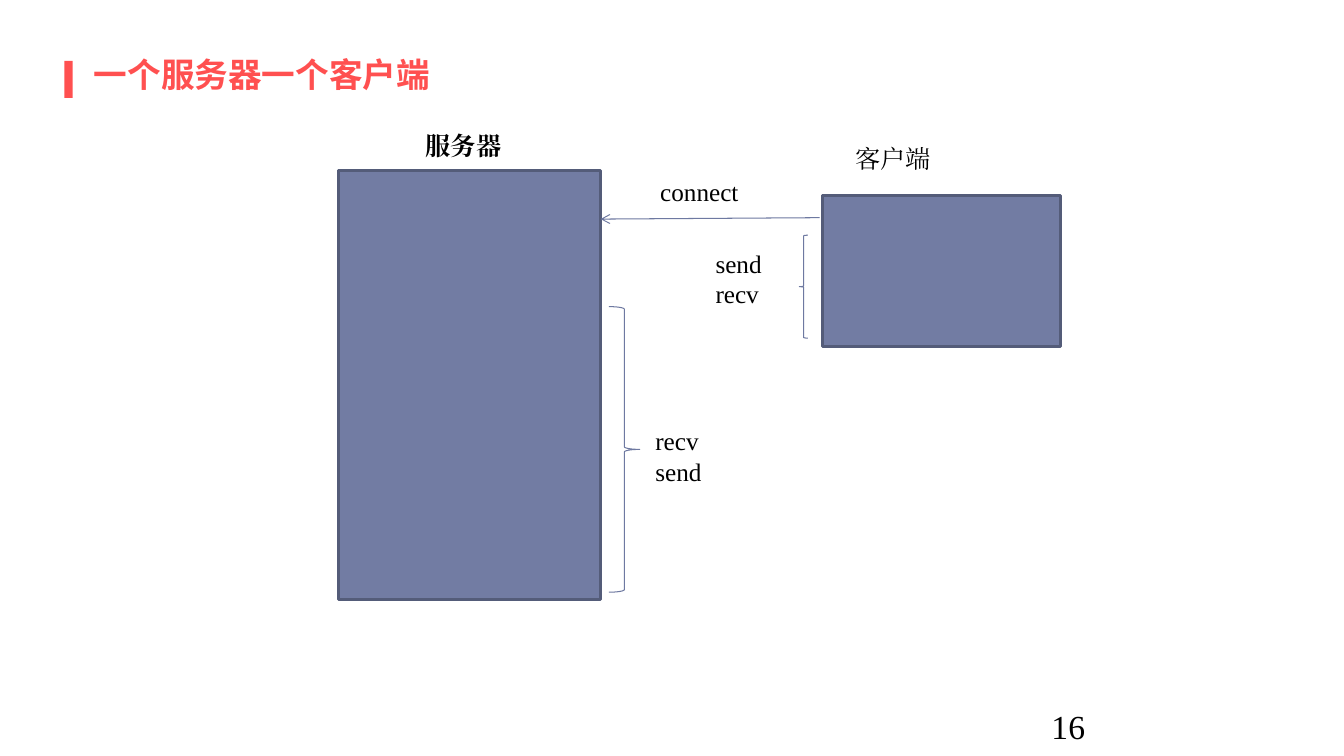
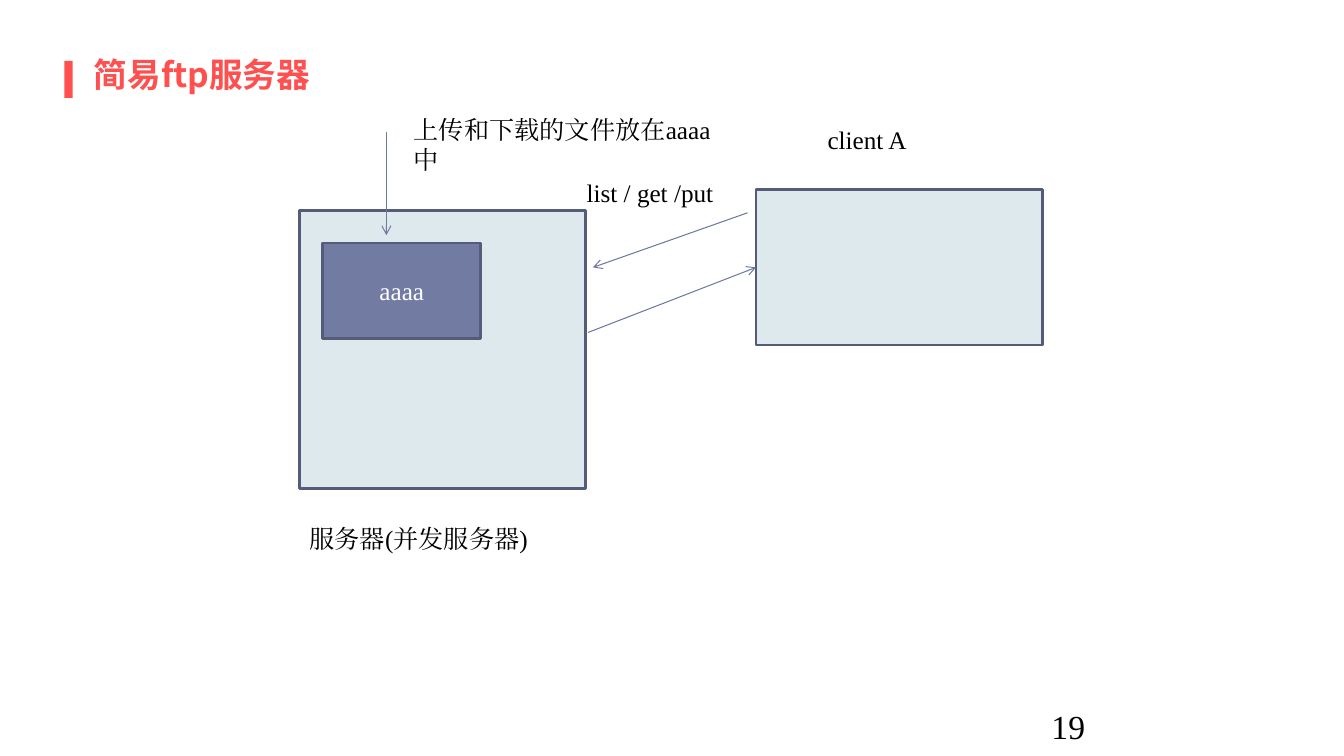
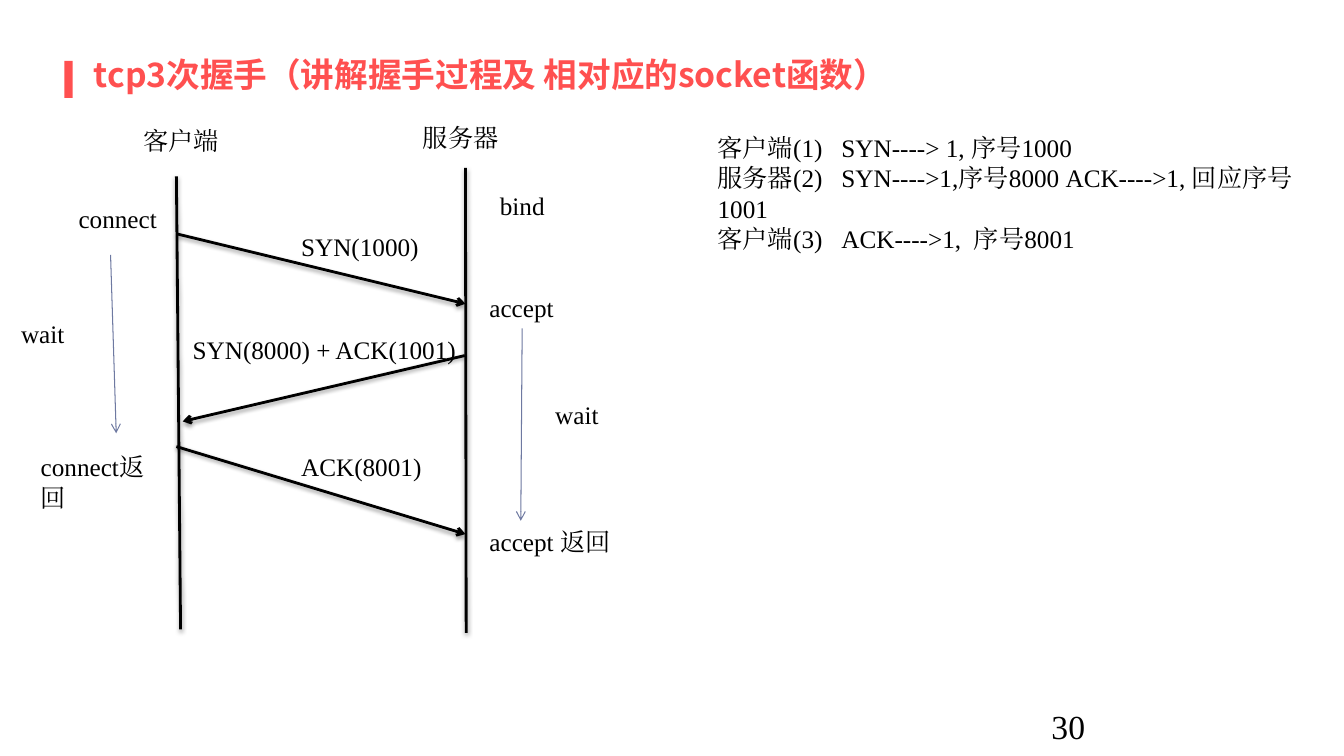
from lxml import etree
from pptx import Presentation
from pptx.dml.color import RGBColor
from pptx.enum import shapes, text as txt
from pptx.oxml import ns
from pptx.util import Pt

RED = RGBColor(0xFF, 0x50, 0x50)
BLACK = RGBColor(0, 0, 0)
WHITE = RGBColor(0xFF, 0xFF, 0xFF)
SLATE = RGBColor(0x72, 0x7C, 0xA3)
PALE = RGBColor(0xDD, 0xE9, 0xEC)
EDGE = RGBColor(0x54, 0x5C, 0x79)
THIN = RGBColor(0x6E, 0x79, 0xA1)
SANS = "Noto Sans CJK SC"
SERIF = "Times New Roman"
TOP, MIDDLE = txt.MSO_ANCHOR.TOP, txt.MSO_ANCHOR.MIDDLE
LEFT, CENTER = txt.PP_ALIGN.LEFT, txt.PP_ALIGN.CENTER
RECT = shapes.MSO_SHAPE.RECTANGLE


def put(s, text, x, y, w, h=29, *, size=18, color=BLACK, bold=False, font=SERIF,
        anchor=TOP, align=LEFT, fill=None):
    """Add a text box, or an outlined rectangle if a fill is given."""
    frame = Pt(x), Pt(y), Pt(w), Pt(h)
    if fill is None:
        sp = s.shapes.add_textbox(*frame)
    else:
        sp = s.shapes.add_shape(RECT, *frame)
        sp.shadow.inherit = False
        sp.fill.solid()
        sp.fill.fore_color.rgb = fill
        sp.line.color.rgb = EDGE
        sp.line.width = Pt(2)
    tf = sp.text_frame
    tf.word_wrap = True
    tf.vertical_anchor = anchor
    for i, words in enumerate(text.split("\n") if text else []):
        p = tf.add_paragraph() if i else tf.paragraphs[0]
        p.alignment = align
        r = p.add_run()
        r.text = words
        r.font.name, r.font.size, r.font.bold = font, Pt(size), bold
        r.font.color.rgb = color
        ea = etree.SubElement(r.font._element, ns.qn("a:ea"))
        ea.set("typeface", font)
    return sp


def line(s, x1, y1, x2, y2, *, color=THIN, width=0.75, arrow=True, shadow=False):
    c = s.shapes.add_connector(shapes.MSO_CONNECTOR.STRAIGHT, Pt(x1), Pt(y1), Pt(x2), Pt(y2))
    c.line.color.rgb = color
    c.line.width = Pt(width)
    if arrow:
        etree.SubElement(c.line._get_or_add_ln(), ns.qn("a:tailEnd"), type="arrow")
    effects = etree.SubElement(c._element.spPr, ns.qn("a:effectLst"))
    if shadow:
        outer = etree.SubElement(effects, ns.qn("a:outerShdw"), blurRad="40000",
                                 dist="20000", dir="5400000", rotWithShape="0")
        black = etree.SubElement(outer, ns.qn("a:srgbClr"), val="000000")
        etree.SubElement(black, ns.qn("a:alpha"), val="38000")
    return c


prs = Presentation()
prs.slide_width, prs.slide_height = Pt(960), Pt(540)

# Title, red bar and page number on every slide
slides = []
for title, page in [
    ("一个服务器一个客户端", "16"),
    ("简易ftp服务器", "19"),
    ("tcp3次握手（讲解握手过程及 相对应的socket函数）", "30"),
]:
    s = prs.slides.add_slide(prs.slide_layouts[6])
    bar = s.shapes.add_shape(RECT, Pt(46), Pt(43.5), Pt(6), Pt(26.5))
    bar.shadow.inherit = False
    bar.fill.solid()
    bar.fill.fore_color.rgb = RED
    bar.line.fill.background()
    put(s, title, 60, 36.5, 841, 33.5, size=24, color=RED, bold=True, font=SANS, anchor=MIDDLE)
    put(s, page, 744, 501, 216, size=24)
    slides.append(s)
single, ftp, handshake = slides

# One server, one client
put(single, "", 242, 122, 187, 306, fill=SLATE)
put(single, "", 587.5, 139.5, 170, 108, fill=SLATE)
put(single, "服务器", 297, 89.5, 112, bold=True)
put(single, "客户端", 604, 98.5, 112)
line(single, 585.5, 155.5, 429, 156.5)
put(single, "connect", 464.5, 122.5, 74)
put(single, "recv\nsend", 461, 300.5, 74, 51)
put(single, "send\nrecv", 504, 174, 74, 51)
for kind, x, y, w, h in [
    (shapes.MSO_SHAPE.RIGHT_BRACE, 435, 219, 22, 204),
    (shapes.MSO_SHAPE.LEFT_BRACE, 571, 168, 6, 73.5),
]:
    brace = single.shapes.add_shape(kind, Pt(x), Pt(y), Pt(w), Pt(h))
    brace.shadow.inherit = False
    brace.fill.background()
    brace.line.color.rgb = THIN
    brace.line.width = Pt(0.75)

# Simple ftp server
put(ftp, "", 214, 150.5, 204.5, 198.5, fill=PALE)
put(ftp, "aaaa", 230.5, 173.5, 113, 68.5, color=WHITE, anchor=MIDDLE, align=CENTER, fill=SLATE)
client = put(ftp, "", 540, 135.5, 204.5, 111, fill=PALE)
line(ftp, 276, 94, 276, 168)
line(ftp, 534, 152, 423.5, 191)
reply = line(ftp, 420, 237.5, 540, 191)
reply.end_connect(client, 1)
put(ftp, "上传和下载的文件放在aaaa中", 288.5, 78, 244)
put(ftp, "服务器(并发服务器)", 214, 370, 178)
put(ftp, "client A", 584, 85.5, 74)
put(ftp, "list / get /put", 412, 123, 122)

# TCP three-way handshake
for x1, y1, x2, y2, arrow in [
    (126, 126, 129, 449.5, False),
    (332.5, 120, 333, 452, False),
    (126, 167, 332.5, 217, True),
    (332, 254, 130.5, 301, True),
    (126, 319, 332.5, 381.5, True),
]:
    line(handshake, x1, y1, x2, y2, color=BLACK, width=2, arrow=arrow, shadow=True)
line(handshake, 79, 182, 83, 309.5)
line(handshake, 373, 234.5, 372, 372)
for words, x, y, w in [
    ("客户端", 95.5, 86, 75),
    ("服务器", 295, 83.5, 75),
    ("SYN(1000)", 208, 161.5, 102),
    ("SYN(8000) + ACK(1001)", 130.5, 235, 206),
    ("ACK(8001)", 208, 319, 104),
    ("bind", 350, 132.5, 50),
    ("connect", 49, 142, 74),
    ("accept", 342.5, 205.5, 64),
    ("connect返回", 22, 319, 106),
    ("wait", 8, 223.5, 50),
    ("accept 返回", 342.5, 372.5, 101),
    ("wait", 389.5, 281.5, 50),
]:
    put(handshake, words, x, y, w)
put(handshake, "客户端(1)   SYN----> 1, 序号1000\n"
    "服务器(2)   SYN---->1,序号8000 ACK---->1, 回应序号1001\n"
    "客户端(3)   ACK---->1,  序号8001", 505.5, 91, 460, 73)

prs.save("out.pptx")
